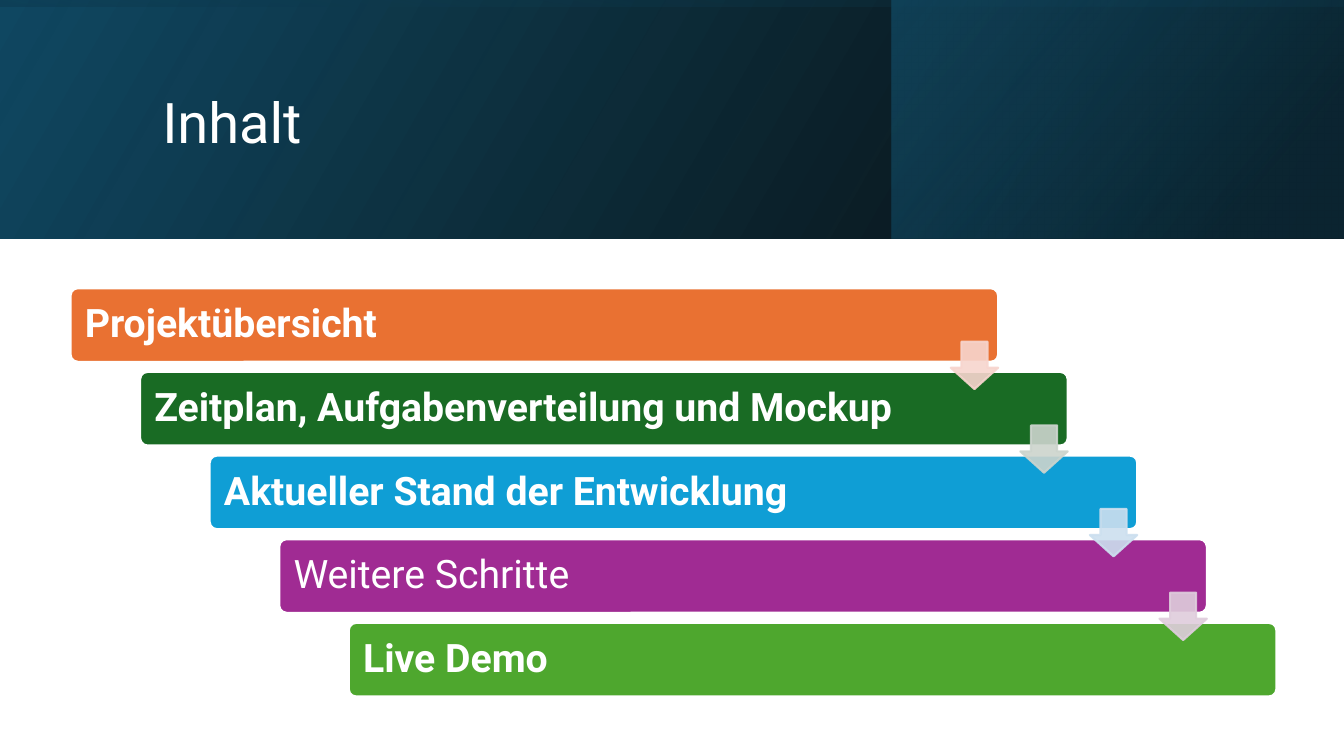
from dataclasses import dataclass

from pptx import Presentation
from pptx.dml.color import RGBColor
from pptx.enum.shapes import MSO_SHAPE
from pptx.enum.text import MSO_ANCHOR, MSO_AUTO_SIZE, PP_ALIGN
from pptx.oxml.ns import qn
from pptx.util import Inches, Pt


@dataclass(frozen=True)
class Theme:
    font: str = "Roboto"
    white: str = "FFFFFF"
    head: int = 40
    body: int = 28
    edge: float = 1.5
    bars: tuple = ("E97132", "196B24", "0F9ED5", "A02B93", "4EA72E")
    arrows: tuple = ("F7D5CE", "CCD4CD", "CCDFEF", "DFCDDC")
    # Each stop: position, colour, opacity, all but colour in percent
    base: tuple = ((0, "000000", 96), (100, "104862", 100))
    side: tuple = ((19, "0B3041", 68), (100, "156082", 48))
    veil: tuple = ((23, "104862", 16), (99, "000000", 45))


def rgb(code):
    return RGBColor.from_string(code)


def fade(shape, levels):
    """Set the opacity, in percent, of each RGB colour in the shape's fill and line."""
    tints = shape._element.spPr.iter(qn("a:srgbClr"))
    for tint, level in zip(list(tints), levels):
        if level < 100:
            alpha = tint.makeelement(qn("a:alpha"), {"val": str(level * 1000)})
            tint.append(alpha)


class Deck:
    def __init__(self, theme):
        self.theme = theme
        self.prs = Presentation()
        self.prs.slide_width = Inches(13.33)
        self.prs.slide_height = Inches(7.5)
        self.slide = self.prs.slides.add_slide(self.prs.slide_layouts[5])

    def shape(self, kind, box):
        item = self.slide.shapes.add_shape(kind, *map(Inches, box))
        item.shadow.inherit = False
        return item

    def paint(self, item, fill, line):
        item.fill.solid()
        item.fill.fore_color.rgb = rgb(fill)
        item.line.color.rgb = rgb(line)
        item.line.width = Pt(self.theme.edge)

    def label(self, frame, text, size, bold=False):
        frame.word_wrap = True
        frame.auto_size = MSO_AUTO_SIZE.NONE
        frame.vertical_anchor = MSO_ANCHOR.MIDDLE
        para = frame.paragraphs[0]
        para.alignment = PP_ALIGN.LEFT
        para.line_spacing = 0.9
        run = para.add_run()
        run.text = text
        run.font.name = self.theme.font
        run.font.size = Pt(size)
        run.font.bold = bold
        run.font.color.rgb = rgb(self.theme.white)

    def band(self, box, stops, angle, turn=0):
        """Add a mirrored gradient band; the angle runs clockwise."""
        item = self.shape(MSO_SHAPE.RECTANGLE, box)
        item.rotation = turn
        item._element.spPr.xfrm.set("flipH", "1")
        item.line.fill.background()
        item.fill.gradient()
        item.fill.gradient_angle = 360 - angle
        for stop, (place, code, _) in zip(item.fill.gradient_stops, stops):
            stop.position = place / 100
            stop.color.rgb = rgb(code)
        fade(item, [level for _, _, level in stops])

    def title(self, text, box):
        item = self.slide.shapes.title
        item.left, item.top, item.width, item.height = map(Inches, box)
        self.label(item.text_frame, text, self.theme.head)
        self.slide.shapes._spTree.append(item._element)  # in front of the bands

    def bar(self, box, text, fill, bold):
        item = self.shape(MSO_SHAPE.ROUNDED_RECTANGLE, box)
        item.adjustments[0] = 0.1
        self.paint(item, fill, self.theme.white)
        frame = item.text_frame
        frame.margin_left = frame.margin_right = Inches(0.12)
        frame.margin_top = frame.margin_bottom = Inches(0.12)
        self.label(frame, text, self.theme.body, bold)

    def arrow(self, box, fill):
        item = self.shape(MSO_SHAPE.DOWN_ARROW, box)
        item.adjustments[0] = 0.55
        item.adjustments[1] = 0.45
        self.paint(item, fill, fill)
        fade(item, (90, 90))


def main():
    theme = Theme()
    deck = Deck(theme)

    wide, high = 13.33, 2.37
    deck.band((0, 0, wide, high), theme.base, 330)
    deck.band((8.84, 0, 4.49, high), theme.side, 320)
    mid = (wide - high) / 2
    deck.band((mid, -mid, high, wide), theme.veil, 350, turn=270)
    deck.title("Inhalt", (1.51, 0.38, 10.63, 1.72))

    topics = (
        ("Projektübersicht", True),
        ("Zeitplan, Aufgabenverteilung und Mockup", True),
        ("Aktueller Stand der Entwicklung", True),
        ("Weitere Schritte", False),
        ("Live Demo", True),
    )
    spots = [(0.7 + 0.69 * i, 2.86 + 0.83 * i) for i in range(len(topics))]
    for (left, top), (text, bold), fill in zip(spots, topics, theme.bars):
        deck.bar((left, top, 9.2, 0.73), text, fill, bold)
    for (left, top), fill in zip(spots, theme.arrows):
        deck.arrow((left + 8.73, top + 0.53, 0.47, 0.47), fill)

    deck.prs.save("out.pptx")


if __name__ == "__main__":
    main()
